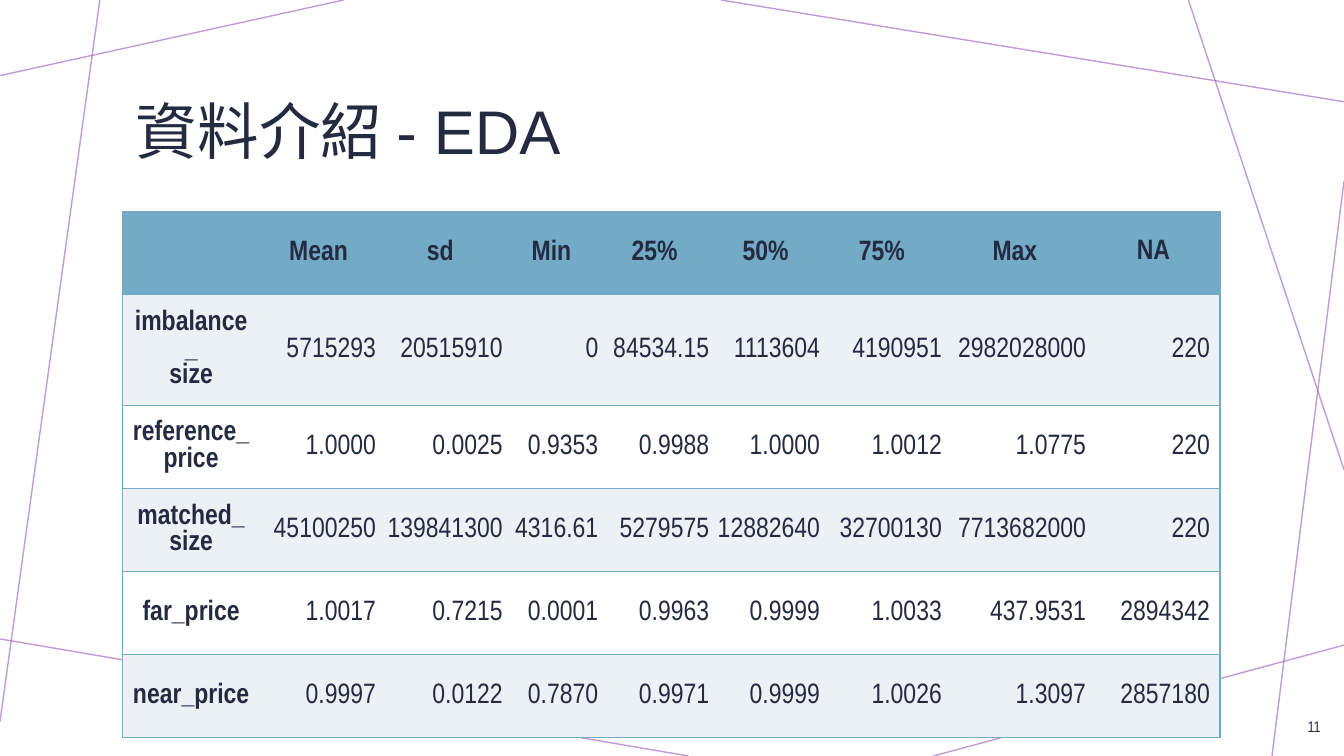
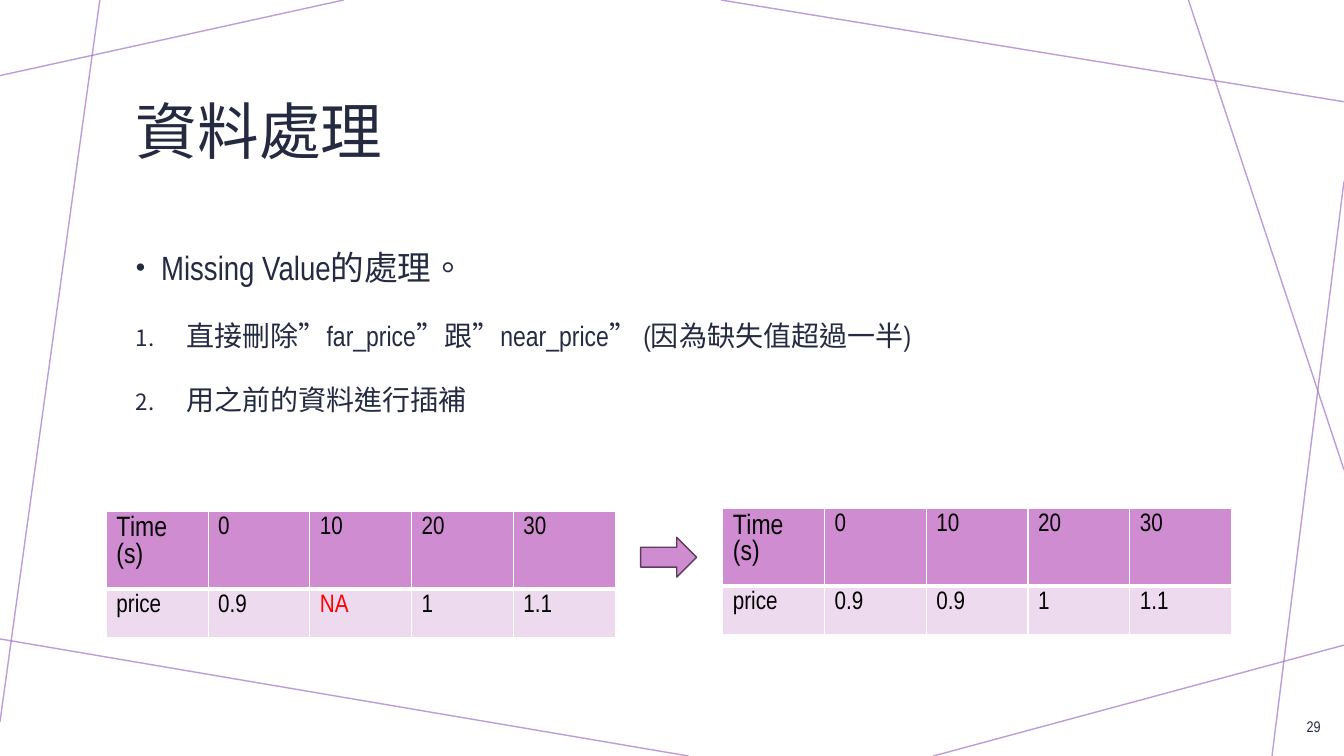
from lxml import etree
from pptx import Presentation
from pptx.dml.color import RGBColor
from pptx.enum import lang, shapes, text
from pptx.oxml import ns
from pptx.util import Pt

INK = RGBColor(0x24, 0x2B, 0x41)
BLACK = RGBColor(0, 0, 0)
WHITE = RGBColor(0xFF, 0xFF, 0xFF)
RED = RGBColor(0xFF, 0, 0)
VIOLET = RGBColor(0xA4, 0x72, 0xC6)
BLUE = RGBColor(0x73, 0xAA, 0xC6)
MIST = RGBColor(0xEB, 0xF1, 0xF5)
ORCHID = RGBColor(0xD0, 0x8C, 0xD0)
PINK = RGBColor(0xEE, 0xDA, 0xEE)
PLUM = RGBColor(0x5B, 0x3D, 0x5B)

ALIGN, ANCHOR = text.PP_ALIGN, text.MSO_ANCHOR
CHINESE = lang.MSO_LANGUAGE_ID.TRADITIONAL_CHINESE
NARROW = "Arial Narrow"

# Background lines: x1, y1, x2, y2
WEB = [
    (245.5, 0, 0, 54), (71.3, 0, 0, 515.5), (491.8, 540, 0, 456.4),
    (960, 460.8, 666.7, 540), (960, 129.6, 908.6, 540),
    (960, 335.5, 848.9, 0), (960, 72.7, 515, 0),
]


def put(item, values):
    for name, value in values.items():
        setattr(item, name, value)


def node(parent, tag, **attrs):
    return etree.SubElement(parent, ns.qn(tag), attrs)


class Deck:
    def __init__(self):
        self.show = Presentation()
        put(self.show, {"slide_width": Pt(960), "slide_height": Pt(540)})

    def page(self, title, number):
        """Start a slide with its background lines, title and number."""
        self.slide = self.show.slides.add_slide(self.show.slide_layouts[6])
        self.items = self.slide.shapes
        for ends in WEB:
            self.line(*ends)
        frame = self.box(90, 42, 780, 108, ANCHOR.MIDDLE)
        self.label(frame.paragraphs[0], title, 44, face="Arial",
                   form={"line_spacing": 0.9}, tongue=CHINESE)
        frame = self.box(913.5, 504, 37, 29, ANCHOR.MIDDLE)
        self.label(frame.paragraphs[0], str(number), 11,
                   form={"alignment": ALIGN.RIGHT})

    def line(self, *ends):
        line = self.items.add_connector(
            shapes.MSO_CONNECTOR.STRAIGHT, *(Pt(n) for n in ends))
        line.line.width = Pt(1)
        line.line.color.rgb = VIOLET
        color = line.element.spPr.find(".//" + ns.qn("a:srgbClr"))
        node(color, "a:alpha", val="70000")
        node(line.element.spPr, "a:effectLst")

    def box(self, x, y, w, h, anchor=ANCHOR.TOP):
        frame = self.items.add_textbox(Pt(x), Pt(y), Pt(w), Pt(h)).text_frame
        put(frame, {"word_wrap": True, "vertical_anchor": anchor})
        return frame

    def label(self, para, words, size, color=INK, bold=False, face=NARROW,
              form=None, tongue=None):
        put(para, form or {})
        run = para.add_run()
        run.text = words
        put(run.font, {"name": face, "size": Pt(size), "bold": bold})
        run.font.color.rgb = color
        if tongue:
            run.font.language_id = tongue

    def points(self, frame, rows):
        """Add list items given as text, size, indent and bullet."""
        for i, (words, size, indent, mark) in enumerate(rows):
            para = frame.paragraphs[0] if i == 0 else frame.add_paragraph()
            self.label(para, words, size, tongue=CHINESE,
                       form={"line_spacing": 1.5, "space_before": Pt(10)})
            props = para._p.get_or_add_pPr()
            props.set("marL", str(Pt(indent)))
            props.set("indent", str(-Pt(indent)))
            node(props, "a:buSzPct", val="80000")
            if mark:
                node(props, "a:buFont", typeface="Arial")
                node(props, "a:buChar", char=mark)
            else:
                node(props, "a:buAutoNum", type="arabicPeriod")

    def grid(self, x, y, cols, rows):
        table = self.items.add_table(
            len(rows), len(cols), Pt(x), Pt(y), Pt(sum(cols)), Pt(sum(rows))
        ).table
        put(table, {"first_row": False, "horz_banding": False})
        for col, width in zip(table.columns, cols):
            col.width = Pt(width)
        for row, height in zip(table.rows, rows):
            row.height = Pt(height)
        return table

    def cell(self, cell, fill, edges):
        """Paint a cell; edges maps L, R, T, B to (colour, width)."""
        props = cell._tc.get_or_add_tcPr()
        for side in "LRTB":
            color, width = edges.get(side, (None, 0))
            edge = node(props, "a:ln" + side, w=str(Pt(width)))
            if color is None:
                node(edge, "a:noFill")
            else:
                node(node(edge, "a:solidFill"), "a:srgbClr", val=str(color))
        cell.fill.solid()
        cell.fill.fore_color.rgb = fill

    def stats(self, x, y, cols, rows, data):
        table = self.grid(x, y, cols, rows)
        last = len(cols) - 1
        tight = {"margin_left": Pt(0.7), "margin_right": Pt(0.7),
                 "margin_top": Pt(0.7), "margin_bottom": 0}
        for r, values in enumerate(data):
            fill = BLUE if r == 0 else MIST if r % 2 else WHITE
            for c, value in enumerate(values):
                cell = table.cell(r, c)
                sides = "TB" + "L" * (c == 0) + "R" * (c == last)
                self.cell(cell, fill, {s: (BLUE, 1) for s in sides})
                cell.vertical_anchor = ANCHOR.MIDDLE
                if 0 < c < last:
                    put(cell, tight)
                head = r == 0 or c == 0
                form = {"alignment": ALIGN.CENTER if head else ALIGN.RIGHT}
                frame = cell.text_frame
                for i, words in enumerate(value.split("\n")):
                    para = frame.add_paragraph() if i else frame.paragraphs[0]
                    if words:
                        self.label(para, words, 20, bold=head, form=form)

    def series(self, x, y, times, prices):
        table = self.grid(x, y, [72.7] * (len(times) + 1), [44, 35])
        for r, values in enumerate((["Time (s)"] + times, ["price"] + prices)):
            for c, words in enumerate(values):
                cell = table.cell(r, c)
                edges = {s: (WHITE, 1) for s in "LRTB"}
                edges["T" if r else "B"] = (WHITE, 3)
                self.cell(cell, PINK if r else ORCHID, edges)
                self.label(cell.text_frame.paragraphs[0], words,
                           18 if r or c else 20,
                           RED if words == "NA" else BLACK)

    def arrow(self, x, y, w, h):
        arrow = self.items.add_shape(
            shapes.MSO_SHAPE.RIGHT_ARROW, Pt(x), Pt(y), Pt(w), Pt(h))
        arrow.shadow.inherit = False
        arrow.fill.solid()
        arrow.fill.fore_color.rgb = ORCHID
        arrow.line.color.rgb = PLUM
        arrow.line.width = Pt(1)


STATS = [
    ["", "Mean", "sd", "Min", "25%", "50%", "75%", "Max", "NA"],
    ["imbalance_\nsize", "5715293", "20515910", "0", "84534.15", "1113604",
     "4190951", "2982028000", "220"],
    ["reference_\nprice", "1.0000", "0.0025", "0.9353", "0.9988", "1.0000",
     "1.0012", "1.0775", "220"],
    ["matched_\nsize", "45100250", "139841300", "4316.61", "5279575",
     "12882640", "32700130", "7713682000", "220"],
    ["far_price", "1.0017", "0.7215", "0.0001", "0.9963", "0.9999",
     "1.0033", "437.9531", "2894342"],
    ["near_price", "0.9997", "0.0122", "0.7870", "0.9971", "0.9999",
     "1.0026", "1.3097", "2857180"],
]


def main():
    deck = Deck()

    # Summary statistics
    deck.page("資料介紹 - EDA", 11)
    deck.stats(87.3, 150.8, [98.5, 83.5, 90.5, 68.3, 79.2, 79.2, 87, 103, 95],
               [59.4, 67.6] + [59.4] * 4, STATS)

    # Missing values
    deck.page("資料處理", 29)
    deck.points(deck.box(90, 158.4, 780, 190), [
        ("Missing Value的處理。", 24, 18, "•"),
        ("直接刪除”far_price”跟”near_price” (因為缺失值超過一半)", 20, 36, None),
        ("用之前的資料進行插補", 20, 36, None),
    ])
    times = ["0", "10", "20", "30"]
    deck.series(76, 365.3, times, ["0.9", "NA", "1", "1.1"])
    deck.series(516.3, 363.2, times, ["0.9", "0.9", "1", "1.1"])
    deck.arrow(457.6, 383.8, 40, 28.4)

    deck.show.save("out.pptx")


if __name__ == "__main__":
    main()
